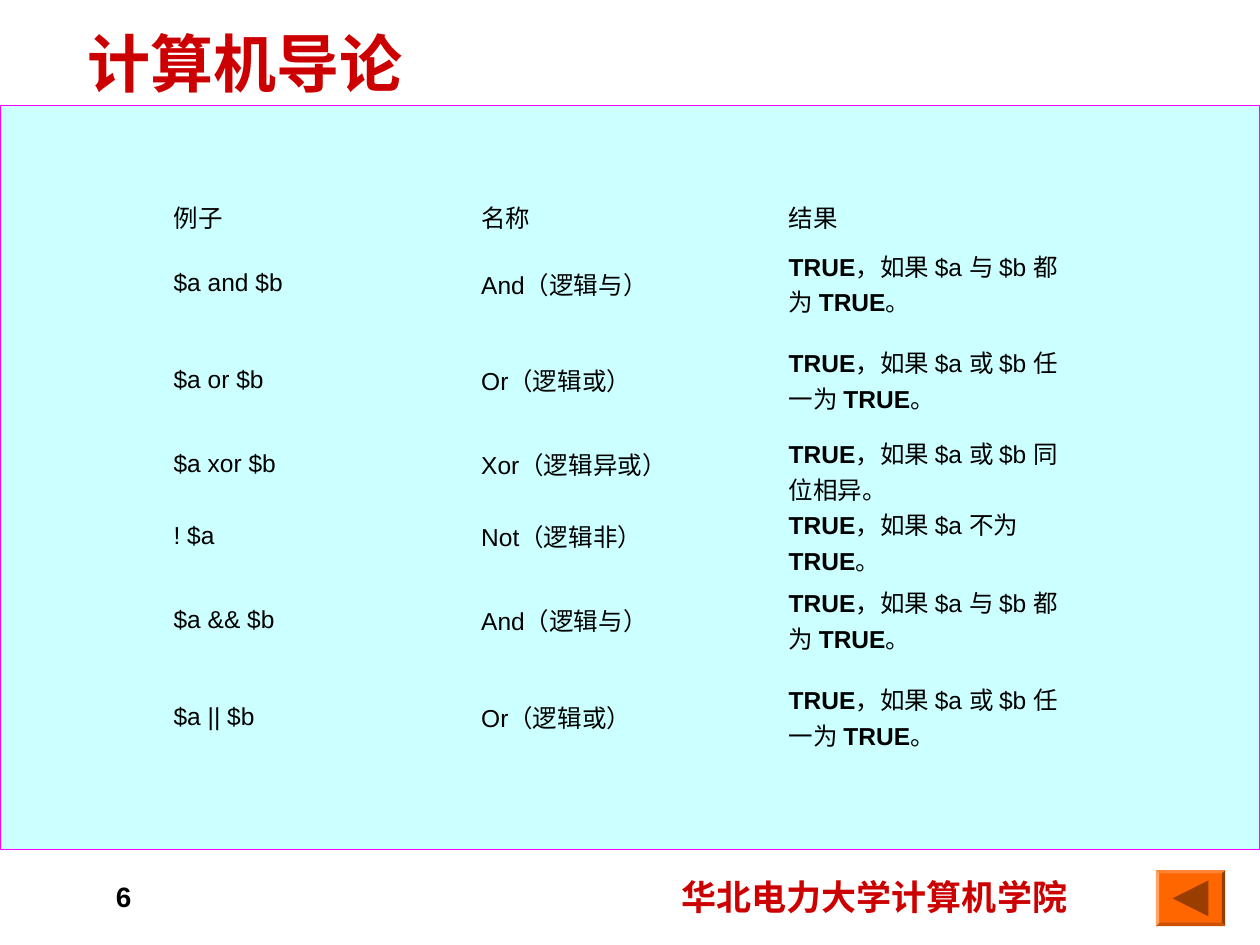
"""Build the slide listing the logical operators as a table."""
from pptx import Presentation
from pptx.dml.color import RGBColor
from pptx.enum.shapes import MSO_SHAPE
from pptx.enum.text import MSO_ANCHOR, MSO_AUTO_SIZE, PP_ALIGN
from pptx.util import Cm, Pt

COLORS = {
    "panel": "CCFFFF",
    "panel_line": "FF00FF",
    "heading": "CC0000",
    "text": "000000",
    "button": "FF6600",
    "arrow": "993D00",
}
ROWS = [
    ("例子", "名称", ["结果"]),
    ("$a and $b", "And（逻辑与）", ["TRUE", "，如果 $a 与 $b 都为 ", "TRUE", "。"]),
    ("$a or $b", "Or（逻辑或）", ["TRUE", "，如果 $a 或 $b 任一为 ", "TRUE", "。"]),
    ("$a xor $b", "Xor（逻辑异或）", ["TRUE", "，如果 $a 或 $b 同位相异。"]),
    ("! $a", "Not（逻辑非）", ["TRUE", "，如果 $a 不为 ", "TRUE", "。"]),
    ("$a && $b", "And（逻辑与）", ["TRUE", "，如果 $a 与 $b 都为 ", "TRUE", "。"]),
    ("$a || $b", "Or（逻辑或）", ["TRUE", "，如果 $a 或 $b 任一为 ", "TRUE", "。"]),
]
ROW_HEIGHTS = [0.8, 1.95, 1.95, 1.36, 1.36, 1.95, 1.95]
NO_STYLE_NO_GRID = "{2D5ABB26-0587-4C30-8999-92F81FD0307C}"


def add_run(paragraph, text, size, color, bold):
    run = paragraph.add_run()
    run.text = text
    run.font.name = "Arial"
    run.font.size = Pt(size)
    run.font.bold = bold
    run.font.color.rgb = RGBColor.from_string(COLORS[color])


def add_filled_shape(kind, left, top, width, height, color):
    shape = slide.shapes.add_shape(kind, Cm(left), Cm(top), Cm(width), Cm(height))
    shape.shadow.inherit = False
    shape.fill.solid()
    shape.fill.fore_color.rgb = RGBColor.from_string(COLORS[color])
    shape.line.fill.background()
    return shape


presentation = Presentation()
presentation.slide_width = Cm(25.4)
presentation.slide_height = Cm(19.05)
slide = presentation.slides.add_slide(presentation.slide_layouts[5])

title = slide.shapes.title
title.left, title.top, title.width, title.height = Cm(1.5), Cm(0.36), Cm(7.8), Cm(1.78)
title.text_frame.auto_size = MSO_AUTO_SIZE.NONE
title.text_frame.vertical_anchor = MSO_ANCHOR.MIDDLE
title.text_frame.paragraphs[0].alignment = PP_ALIGN.LEFT
add_run(title.text_frame.paragraphs[0], "计算机导论", 36, "heading", True)

panel = add_filled_shape(MSO_SHAPE.RECTANGLE, 0, 2.13, 25.4, 15, "panel")
panel.line.color.rgb = RGBColor.from_string(COLORS["panel_line"])
panel.line.width = Pt(0.75)

for text, left, top, width, height, size, color, alignment in [
    ("华北电力大学计算机学院", 13.49, 17.53, 8.41, 1.12, 20, "heading", PP_ALIGN.LEFT),
    ("6", 0.5, 17.6, 2.4, 1.32, 16, "text", PP_ALIGN.RIGHT),
]:
    box = slide.shapes.add_textbox(Cm(left), Cm(top), Cm(width), Cm(height))
    box.text_frame.word_wrap = True
    box.text_frame.paragraphs[0].alignment = alignment
    add_run(box.text_frame.paragraphs[0], text, size, color, True)

button = add_filled_shape(MSO_SHAPE.BEVEL, 23.3, 17.54, 1.4, 1.13, "button")
button.adjustments[0] = 0.06
arrow = add_filled_shape(MSO_SHAPE.ISOSCELES_TRIANGLE, 23.64, 17.75, 0.72, 0.72, "arrow")
arrow.rotation = 270

table = slide.shapes.add_table(
    len(ROWS), 3, Cm(3.3), Cm(3.89), Cm(18.6), Cm(sum(ROW_HEIGHTS))
).table
table.first_row = False
table.horz_banding = False
table._tbl.tblPr[0].text = NO_STYLE_NO_GRID
for column in table.columns:
    column.width = Cm(6.2)
for row, height, (example, name, result) in zip(table.rows, ROW_HEIGHTS, ROWS):
    row.height = Cm(height)
    for cell, parts in zip(row.cells, ([example], [name], result)):
        cell.fill.background()
        cell.vertical_anchor = MSO_ANCHOR.MIDDLE
        cell.margin_left = cell.margin_right = Cm(0.2)
        for part in parts:
            add_run(cell.text_frame.paragraphs[0], part, 14, "text", part == "TRUE")

presentation.save("out.pptx")
